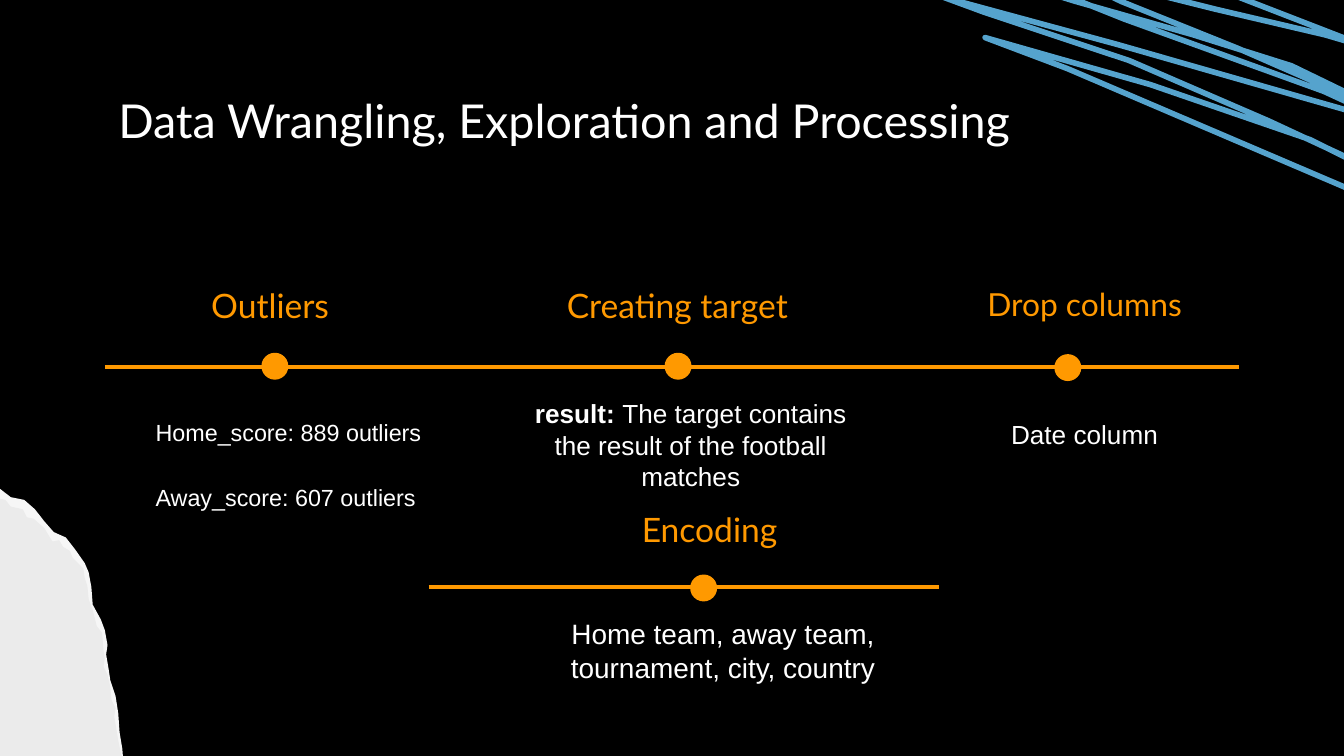
"""Build a dark slide that sets out data preparation steps on two timelines."""
from lxml import etree
from pptx import Presentation
from pptx.dml.color import RGBColor
from pptx.enum.shapes import MSO_CONNECTOR as Connector, MSO_SHAPE as Shape
from pptx.enum.text import MSO_ANCHOR as Anchor, MSO_AUTO_SIZE as AutoSize, PP_ALIGN as Align
from pptx.oxml.ns import qn
from pptx.util import Inches, Pt

BLACK = RGBColor(0x00, 0x00, 0x00)
WHITE = RGBColor(0xFF, 0xFF, 0xFF)
ORANGE = RGBColor(0xFF, 0x99, 0x00)
BLUE = RGBColor(0x55, 0xA3, 0xCD)
PAPER_EDGE = RGBColor(0xF6, 0xF6, 0xF6)
PAPER = RGBColor(0xEB, 0xEB, 0xEB)
DOT_SIZE = 0.19
COLUMN_WIDTH = 2.54

deck = Presentation()
deck.slide_width = Inches(10)
deck.slide_height = Inches(10) * 9 // 16
page = deck.slides.add_slide(deck.slide_layouts[5])
page.background.fill.solid()
page.background.fill.fore_color.rgb = BLACK


def fill_text(box, paragraphs, size, font, color, align):
    frame = box.text_frame
    frame.word_wrap = True
    frame.auto_size = AutoSize.NONE
    frame.margin_left = frame.margin_right = Inches(0.1)
    frame.margin_top = frame.margin_bottom = Inches(0.1)
    for index, words in enumerate(paragraphs):
        para = frame.paragraphs[0] if index == 0 else frame.add_paragraph()
        para.alignment = align
        para.font.size, para.font.name = Pt(size), font
        para.font.color.rgb = color
        for text, bold in words:
            span = para.add_run()
            span.text = text
            if bold:
                span.font.bold = True
    return frame


def draw_outline(points, close):
    corners = [(Inches(x), Inches(y)) for x, y in points]
    builder = page.shapes.build_freeform(*corners[0])
    builder.add_line_segments(corners[1:], close=close)
    outline = builder.convert_to_shape()
    outline.shadow.inherit = False
    return outline


title = page.shapes.title
title.left, title.top, title.width, title.height = (Inches(v) for v in (0.78, 0.59, 8.44, 0.61))
title_frame = fill_text(title, [[("Data Wrangling, Exploration and Processing", False)]],
                        25, "Lato", WHITE, Align.LEFT)
title_frame.vertical_anchor = Anchor.MIDDLE

scribble_points = [
    (9.47, -0.14), (8.05, -0.39), (9.09, -0.07), (10.2, 0.36), (9.86, 0.26), (9.05, 0.07),
    (8.33, -0.11), (7.92, -0.2), (8.34, 0.01), (9.21, 0.36), (10.24, 0.81), (10.29, 0.82),
    (9.61, 0.49), (8.88, 0.26), (8, 0.01), (7.74, -0.07), (7.96, -0.02), (8.36, 0.14),
    (9.85, 0.68), (10.24, 0.86), (10.44, 0.94), (10.23, 0.88), (8.31, 0.33), (7.02, -0.02),
    (7.32, 0.09), (8.4, 0.45), (9.44, 0.9), (10.45, 1.37), (10.31, 1.32), (9.75, 1.04),
    (8.56, 0.63), (7.33, 0.28), (7.94, 0.51), (10.07, 1.42),
]
scribble = draw_outline(scribble_points, False)
scribble.fill.background()
scribble.line.color.rgb, scribble.line.width = BLUE, Pt(3)
stroke = scribble._element.spPr.find(qn("a:ln"))
stroke.set("cap", "rnd")
etree.SubElement(stroke, qn("a:round"))

edge_points = [
    (-0.12, 5.66), (-0.18, 3.51), (-0.1, 3.58), (-0.01, 3.63), (0.08, 3.7), (0.18, 3.72),
    (0.26, 3.79), (0.33, 3.88), (0.4, 3.96), (0.49, 4), (0.56, 4.09), (0.63, 4.19),
    (0.66, 4.26), (0.68, 4.37), (0.69, 4.5), (0.75, 4.61), (0.78, 4.69), (0.8, 4.8),
    (0.79, 4.87), (0.81, 4.99), (0.82, 5.06), (0.86, 5.18), (0.88, 5.31), (0.89, 5.45),
    (0.91, 5.57), (0.92, 5.7), (0.94, 5.77),
]
paper_points = [
    (-0.12, 5.66), (-0.18, 3.6), (-0.1, 3.66), (-0.05, 3.66), (-0.01, 3.71), (0.04, 3.72),
    (0.08, 3.77), (0.17, 3.79), (0.2, 3.85), (0.25, 3.86), (0.33, 3.93), (0.39, 4.03),
    (0.44, 4.02), (0.47, 4.07), (0.52, 4.1), (0.54, 4.15), (0.62, 4.23), (0.63, 4.3),
    (0.65, 4.36), (0.66, 4.46), (0.69, 4.54), (0.72, 4.66), (0.76, 4.71), (0.77, 4.84),
    (0.78, 4.9), (0.77, 4.96), (0.8, 5.02), (0.82, 5.11), (0.83, 5.21), (0.86, 5.27),
    (0.85, 5.33), (0.86, 5.39), (0.88, 5.51), (0.9, 5.61), (0.91, 5.64), (0.9, 5.76),
]
for points, color in [(edge_points, PAPER_EDGE), (paper_points, PAPER)]:
    torn_paper = draw_outline(points, True)
    torn_paper.fill.solid()
    torn_paper.fill.fore_color.rgb = color
    torn_paper.line.fill.background()

for start, end, y in [(0.78, 9.22, 2.73), (3.19, 6.99, 4.37)]:
    timeline = page.shapes.add_connector(
        Connector.STRAIGHT, Inches(start), Inches(y), Inches(end), Inches(y))
    timeline.line.color.rgb, timeline.line.width = ORANGE, Pt(2.25)
    etree.SubElement(timeline._element.spPr, qn("a:effectLst"))

for left, top in [(1.95, 2.63), (4.95, 2.63), (7.85, 2.64), (5.14, 4.28)]:
    dot = page.shapes.add_shape(
        Shape.OVAL, Inches(left), Inches(top), Inches(DOT_SIZE), Inches(DOT_SIZE))
    dot.shadow.inherit = False
    dot.fill.solid()
    dot.fill.fore_color.rgb = dot.line.color.rgb = ORANGE
    dot.line.width = Pt(0.75)

for heading, left, top, size in [
    ("Outliers", 0.74, 2.02, 18),
    ("Creating target", 3.77, 2.02, 18),
    ("Drop columns", 6.8, 2.02, 17),
    ("Encoding", 4.01, 3.69, 18),
]:
    box = page.shapes.add_textbox(Inches(left), Inches(top), Inches(COLUMN_WIDTH), Inches(0.58))
    fill_text(box, [[(heading, False)]], size, "Lato", ORANGE, Align.CENTER)

target_words = [("result: ", True),
                ("The target contains the result of the football matches", False)]
for words, left, top, height, size in [
    (target_words, 3.87, 2.86, 0.96, 14),
    ([("Date column", False)], 6.8, 3.01, 0.46, 14),
    ([("Home team, away team, tournament, city, country", False)], 4.11, 4.49, 0.96, 15),
]:
    box = page.shapes.add_textbox(Inches(left), Inches(top), Inches(COLUMN_WIDTH), Inches(height))
    fill_text(box, [words], size, "Arial", WHITE, Align.CENTER)

outlier_box = page.shapes.add_textbox(Inches(1.06), Inches(3.01), Inches(2.7), Inches(1.03))
outlier_frame = fill_text(
    outlier_box, [[("Home_score: 889 outliers", False)], [("Away_score: 607 outliers", False)]],
    12.5, "Arial", WHITE, Align.LEFT)
away_para = outlier_frame.paragraphs[1]
away_para.line_spacing, away_para.space_before = 1.15, Pt(17.5)

deck.save("out.pptx")
